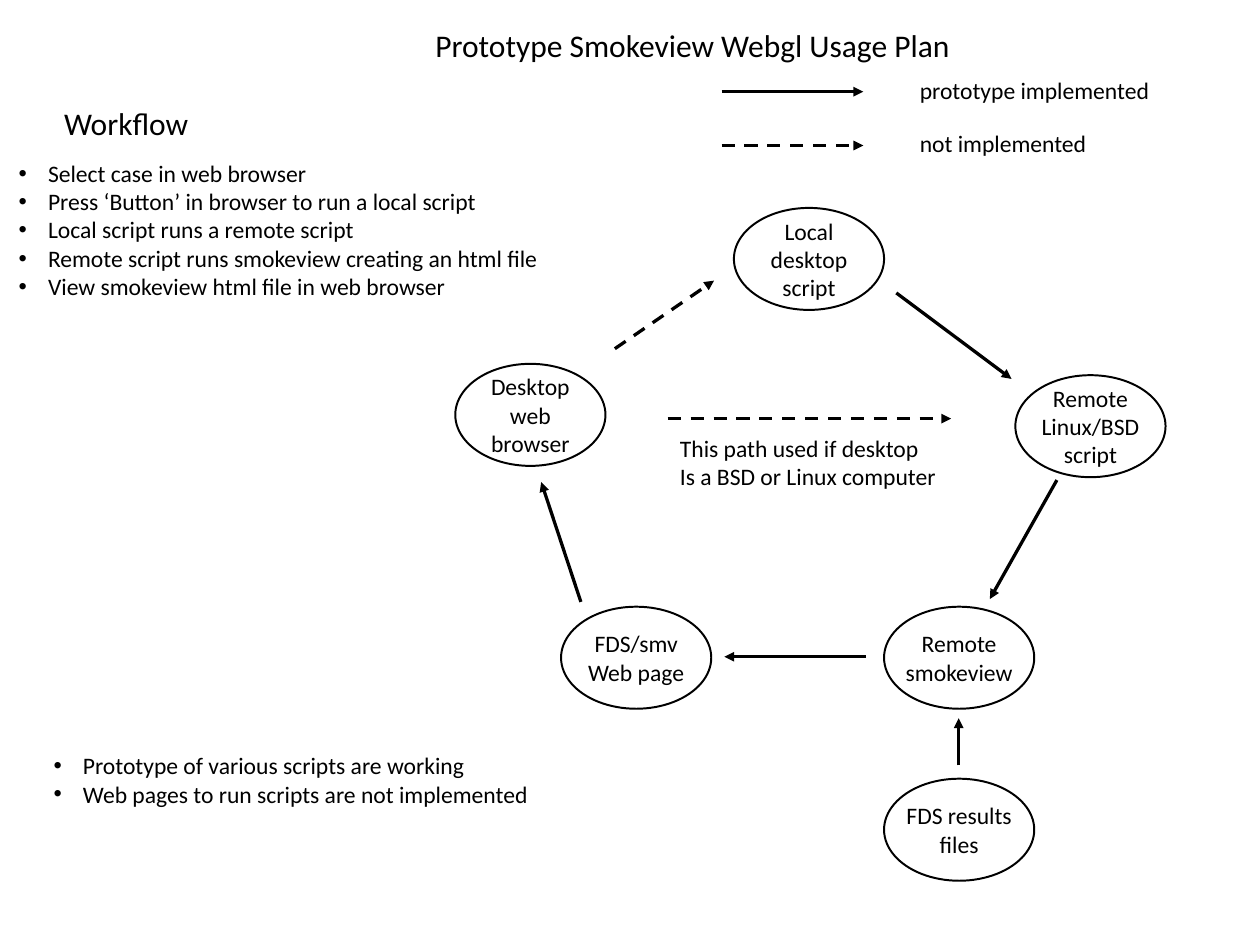
from lxml import etree
from pptx import Presentation, util as u
from pptx.dml.color import RGBColor
from pptx.enum import dml, shapes, text
from pptx.oxml.ns import qn

PX = 9144
WIDTH, HEIGHT = 1334, 1000
INK = "000000"
FONT = "Calibri"
NODE_SIZE = (159, 108)

TITLE = ("Prototype Smokeview Webgl Usage Plan", (451, 22, 568, 50))
NODES = [
    (["Remote\vLinux/BSD", "script"], (1075, 397)),
    (["Local\vdesktop", "script"], (777, 220)),
    (["Desktop\vweb", "browser"], (482, 385)),
    (["Remote\vsmokeview"], (936, 642)),
    (["FDS results\vfiles"], (936, 824)),
    (["FDS/smv", "Web page"], (594, 642)),
]
IMPLEMENTED = [
    (1119, 508, 1048, 634),
    (615, 637, 573, 510),
    (1015, 810, 1015, 760),
    (917, 695, 767, 695),
    (949, 310, 1071, 401),
    (764, 97, 914, 97),
]
NOT_IMPLEMENTED = [
    (707, 443, 1007, 443),
    (651, 369, 756, 297),
    (764, 154, 914, 154),
]
LABELS = [
    (["Workflow"], (58, 105, 153, 50), 24),
    (["prototype implemented"], (964, 75, 264, 40), 18),
    (["not implemented"], (964, 132, 197, 40), 18),
    (["This path used if desktop", "Is a BSD or Linux computer"],
     (710, 454, 295, 70), 18),
]
BULLETS = [
    (["Select case in web browser",
      "Press ‘Button’ in browser to run a local script",
      "Local script runs a remote script",
      "Remote script runs smokeview creating an html file",
      "View smokeview html file in web browser"], (10, 163, 572, 160)),
    (["Prototype of various scripts are working",
      "Web pages to run scripts are not implemented"], (47, 790, 524, 70)),
]


def px(*values):
    return [u.Emu(value * PX) for value in values]


def color(value):
    return RGBColor.from_string(value)


def add_bullet(paragraph):
    properties = paragraph._p.get_or_add_pPr()
    properties.set("marL", str(31 * PX))
    properties.set("indent", str(-31 * PX))
    etree.SubElement(properties, qn("a:buFont"), typeface="Arial")
    etree.SubElement(properties, qn("a:buChar"), char="•")


def write(shape, lines, size=18, align=text.PP_ALIGN.LEFT,
          anchor=text.MSO_ANCHOR.TOP, bullets=False):
    frame = shape.text_frame
    frame.word_wrap = False
    frame.auto_size = text.MSO_AUTO_SIZE.NONE
    frame.vertical_anchor = anchor
    for index, line in enumerate(lines):
        paragraph = frame.add_paragraph() if index else frame.paragraphs[0]
        paragraph.text = line
        paragraph.alignment = align
        if bullets:
            add_bullet(paragraph)
        for run in paragraph.runs:
            run.font.name = FONT
            run.font.size = u.Pt(size)
            run.font.color.rgb = color(INK)


def add_node(slide, lines, position):
    shape = slide.shapes.add_shape(
        shapes.MSO_SHAPE.OVAL, *px(*position, *NODE_SIZE))
    shape.shadow.inherit = False
    shape.fill.background()
    shape.line.color.rgb = color(INK)
    shape.line.width = u.Pt(1.5)
    write(shape, lines, align=text.PP_ALIGN.CENTER,
          anchor=text.MSO_ANCHOR.MIDDLE)
    frame = shape.text_frame
    frame.margin_left = frame.margin_right = 0
    frame.margin_top = frame.margin_bottom = 0


def add_arrow(slide, ends, dashed=False):
    arrow = slide.shapes.add_connector(
        shapes.MSO_CONNECTOR.STRAIGHT, *px(*ends))
    arrow.line.color.rgb = color(INK)
    arrow.line.width = u.Pt(2.5)
    if dashed:
        arrow.line.dash_style = dml.MSO_LINE.DASH
    etree.SubElement(arrow.line._get_or_add_ln(), qn("a:tailEnd"),
                     type="triangle")
    etree.SubElement(arrow._element.spPr, qn("a:effectLst"))


def main():
    presentation = Presentation()
    presentation.slide_width, presentation.slide_height = px(WIDTH, HEIGHT)
    slide = presentation.slides.add_slide(presentation.slide_layouts[5])

    title, box = TITLE
    heading = slide.shapes.title
    heading.left, heading.top, heading.width, heading.height = px(*box)
    write(heading, [title], size=24)

    for lines, position in NODES:
        add_node(slide, lines, position)
    for ends in IMPLEMENTED:
        add_arrow(slide, ends)
    for ends in NOT_IMPLEMENTED:
        add_arrow(slide, ends, dashed=True)
    for lines, box, size in LABELS:
        write(slide.shapes.add_textbox(*px(*box)), lines, size=size)
    for lines, box in BULLETS:
        write(slide.shapes.add_textbox(*px(*box)), lines, bullets=True)

    presentation.save("out.pptx")


if __name__ == "__main__":
    main()
